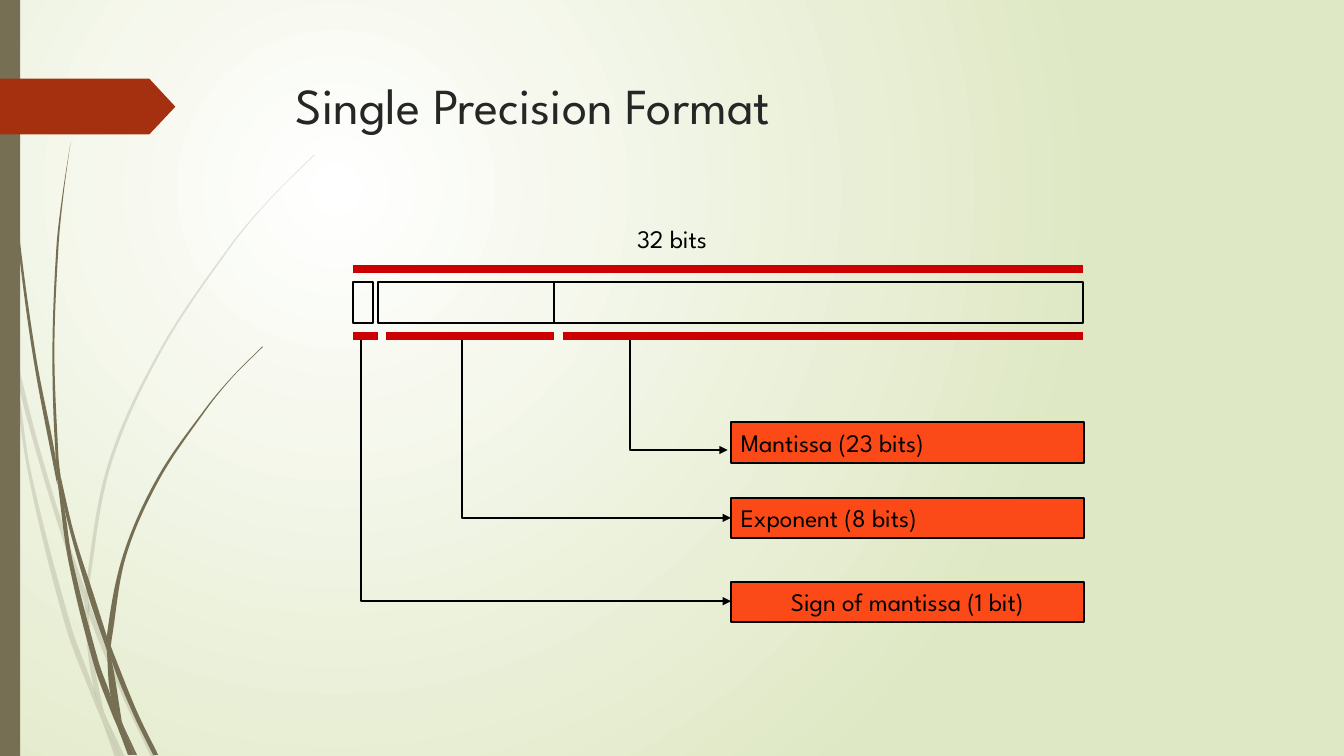
from dataclasses import dataclass
from math import dist
from typing import Optional

from lxml.etree import SubElement
from pptx import Presentation
from pptx.dml.color import RGBColor
from pptx.enum.shapes import MSO_CONNECTOR, MSO_SHAPE
from pptx.enum.text import MSO_ANCHOR, PP_ALIGN
from pptx.oxml.ns import qn
from pptx.util import Cm, Pt

FONT = "League Spartan"
COLORS = {"bg_inner": "FFFFFF", "bg_outer": "DFE8C4", "olive": "766F54",
          "rust": "A53010", "title": "262626", "ink": "000000",
          "bar": "CC0000", "label": "FB4A18"}
BLADE_UNIT = Cm(0.0254)  # grid step of the blade outlines
FIELD_TOP, FIELD_H = 7.11, 1.02
FIELD_LEFT, FIELD_RIGHT = 8.89, 27.3
BAR_ABOVE, BAR_BELOW = 6.78, 8.47
LABEL_LEFT, LABEL_W = 18.42, 8.89

Point = tuple[float, float]


@dataclass
class Blade:
    left: list[Point]
    right: list[Point]


@dataclass
class Field:
    left: float
    right: float
    bar_left: float
    bar_right: float


@dataclass
class Label:
    text: str
    top: float
    align: PP_ALIGN
    arrow_x: float
    arrow_y: float
    arrow_end: float = LABEL_LEFT


# Both edges of each blade run from its upper tip to its lower end
PALE_BLADES = [
    Blade([(0, 299), (10, 344), (11, 350)], [(0, 282), (9, 322), (11, 350)]),
    Blade([(14, 345), (17, 376), (36, 449), (58, 522), (84, 599)],
          [(14, 345), (36, 433), (62, 520), (85, 586)]),
    Blade([(88, 596), (88, 610), (123, 694), (150, 751)],
          [(88, 596), (92, 607), (127, 692), (155, 751)]),
    Blade([(105, 711), (119, 751)], [(105, 711), (124, 751)]),
    Blade([(11, 350), (28, 470), (65, 621), (92, 693), (101, 714)],
          [(11, 350), (17, 376), (31, 469), (70, 619), (93, 683), (99, 707), (101, 714)]),
    Blade([(84, 599), (87, 646), (93, 683), (96, 692), (105, 711)],
          [(84, 599), (88, 610), (91, 646), (103, 706), (105, 711)]),
    Blade([(312, 153), (268, 197), (228, 244), (158, 348), (107, 461), (85, 584), (88, 596)],
          [(312, 154), (268, 198), (229, 245), (160, 349), (110, 462), (88, 584), (88, 596)]),
    Blade([(101, 714), (114, 751)], [(101, 714), (119, 751)]),
    Blade([(85, 586), (84, 599)], [(85, 586), (88, 596), (88, 610)]),
    Blade([(93, 683), (99, 707), (101, 714), (119, 751)],
          [(93, 683), (96, 692), (105, 711), (119, 751)]),
]
DARK_BLADES = [
    Blade([(3, 0), (4, 48), (7, 110), (17, 233), (33, 355), (56, 477), (57, 481)],
          [(4, 0), (5, 48), (8, 109), (19, 232), (36, 355), (55, 453), (57, 481)]),
    Blade([(60, 472), (64, 505), (88, 592), (106, 645)],
          [(60, 472), (74, 531), (93, 590), (106, 631)]),
    Blade([(110, 641), (111, 656), (132, 708), (152, 749)],
          [(110, 641), (113, 649), (136, 706), (157, 749)]),
    Blade([(57, 477), (68, 557), (93, 659), (111, 708), (117, 722)],
          [(57, 477), (64, 505), (72, 556), (98, 657), (110, 691), (117, 722)]),
    Blade([(70, 141), (62, 193), (56, 245), (52, 349), (55, 449), (60, 472)],
          [(70, 141), (63, 193), (58, 245), (54, 349), (58, 453), (60, 472)]),
    Blade([(122, 719), (133, 749)], [(122, 719), (136, 749)]),
    Blade([(55, 449), (57, 477), (64, 505)], [(55, 449), (60, 472), (64, 505)]),
    Blade([(260, 344), (231, 373), (204, 405), (156, 474), (122, 551), (106, 631), (110, 641)],
          [(261, 344), (231, 374), (205, 406), (158, 476), (125, 552), (111, 633), (110, 641)]),
    Blade([(117, 722), (127, 749)], [(117, 722), (131, 749)]),
    Blade([(106, 645), (110, 691), (122, 719)],
          [(106, 645), (111, 656), (121, 716), (122, 719)]),
    Blade([(106, 631), (106, 645)], [(106, 631), (110, 641), (111, 656)]),
    Blade([(110, 691), (117, 722), (130, 749)],
          [(110, 691), (116, 706), (122, 719), (133, 749)]),
]
TAG = [(0, 1.98), (3.76, 1.98), (4.42, 2.69), (3.76, 3.39), (0, 3.39)]
FIELDS = [Field(FIELD_LEFT, 9.4, FIELD_LEFT, 9.53),
          Field(9.53, 13.97, 9.73, 13.97),
          Field(13.97, FIELD_RIGHT, 14.18, FIELD_RIGHT)]
LABELS = [Label("Mantissa (23 bits)", 10.64, PP_ALIGN.LEFT, 15.88, 11.34, 18.34),
          Label("Exponent (8 bits)", 12.54, PP_ALIGN.LEFT, 11.64, 13.05),
          Label("Sign of mantissa (1 bit)", 14.66, PP_ALIGN.CENTER, 9.09, 15.15)]


def rgb(name: str) -> RGBColor:
    return RGBColor.from_string(COLORS[name])


def style(sp, fill: Optional[str] = None, line: Optional[str] = None) -> None:
    sp.shadow.inherit = False
    if fill:
        sp.fill.solid()
        sp.fill.fore_color.rgb = rgb(fill)
    else:
        sp.fill.background()
    if line:
        sp.line.color.rgb = rgb(line)
        sp.line.width = Pt(1.5)
    else:
        sp.line.fill.background()


def add_box(s, left: float, top: float, width: float, height: float,
            fill: Optional[str] = None, line: Optional[str] = None):
    sp = s.shapes.add_shape(MSO_SHAPE.RECTANGLE, Cm(left), Cm(top), Cm(width), Cm(height))
    style(sp, fill, line)
    return sp


def write(sp, text: str, size: int, color: str, align: PP_ALIGN) -> None:
    tf = sp.text_frame
    tf.word_wrap = True
    tf.vertical_anchor = MSO_ANCHOR.TOP
    tf.text = text
    p = tf.paragraphs[0]
    p.alignment = align
    r = p.runs[0]
    r.font.name, r.font.size = FONT, Pt(size)
    r.font.color.rgb = rgb(color)


def add_text(s, left: float, top: float, width: float, height: float,
             text: str, size: int, color: str, align: PP_ALIGN) -> None:
    sp = s.shapes.add_textbox(Cm(left), Cm(top), Cm(width), Cm(height))
    write(sp, text, size, color, align)


def add_bar(s, left: float, right: float, y: float) -> None:
    sp = s.shapes.add_connector(MSO_CONNECTOR.STRAIGHT, Cm(left), Cm(y), Cm(right), Cm(y))
    sp.line.color.rgb = rgb("bar")
    sp.line.width = Pt(6)
    SubElement(sp._element.spPr, qn("a:effectLst"))


def add_outline(s, points: list[Point], unit: int, close: bool = True):
    scaled = [(x * unit, y * unit) for x, y in points]
    builder = s.shapes.build_freeform(*scaled[0])
    builder.add_line_segments(scaled[1:], close=close)
    return builder.convert_to_shape()


def bezier(points: list[Point]) -> list[Point]:
    """Two handles and an end point for each step of a smooth curve."""
    ends = [points[0], *points, points[-1]]
    curve = []
    for a, b, c, d in zip(ends, ends[1:], ends[2:], ends[3:]):
        k, m = dist(b, c) / 3 / dist(a, c), dist(b, c) / 3 / dist(b, d)
        curve += [(b[0] + k * (c[0] - a[0]), b[1] + k * (c[1] - a[1])),
                  (c[0] - m * (d[0] - b[0]), c[1] - m * (d[1] - b[1])), c]
    return curve


def add_blade(s, blade: Blade, alpha: int = 100) -> None:
    start, left_end, right_end = blade.left[0], blade.left[-1], blade.right[-1]
    sp = add_outline(s, [start, *bezier(blade.left), left_end, right_end, right_end,
                         *bezier(blade.right[::-1])], BLADE_UNIT)
    style(sp, "olive")
    # Turn every three line segments into one curve
    lines = list(sp._element.iter(qn("a:lnTo")))
    for group in zip(lines[::3], lines[1::3], lines[2::3]):
        curve = group[0].makeelement(qn("a:cubicBezTo"))
        group[0].addprevious(curve)
        for line in group:
            curve.append(line[0])
            line.getparent().remove(line)
    if alpha < 100:
        color = sp._element.spPr.find(qn("a:solidFill"))[0]
        SubElement(color, qn("a:alpha"), val=str(alpha * 1000))


def add_arrow(s, label: Label) -> None:
    x, y = label.arrow_x, label.arrow_y
    sp = add_outline(s, [(x, BAR_BELOW), (x, y), (label.arrow_end, y)], Cm(1), close=False)
    style(sp, line="ink")
    SubElement(sp.line._get_or_add_ln(), qn("a:tailEnd"), type="triangle")


prs = Presentation()
prs.slide_width, prs.slide_height = Cm(33.87), Cm(19.05)
s = prs.slides.add_slide(prs.slide_layouts[6])

# Background: radial gradient
fill = s.background.fill
fill.gradient()
for stop, name in zip(fill.gradient_stops, ("bg_inner", "bg_outer")):
    stop.color.rgb = rgb(name)
grad = s._element.find(".//" + qn("a:gradFill"))
grad.remove(grad.find(qn("a:lin")))
radial = SubElement(grad, qn("a:path"), path="circle")
SubElement(radial, qn("a:fillToRect"), l="50000", t="50000", r="100000", b="100000")

# Grass, side strip and tag
for blade in PALE_BLADES:
    add_blade(s, blade, 20)
for blade in DARK_BLADES:
    add_blade(s, blade)
add_box(s, 0, 0, 0.51, 19.05, "olive")
style(add_outline(s, TAG, Cm(1)), "rust")

# Title
add_text(s, 7.21, 1.74, 24.77, 3.56, "Single Precision Format", 36, "title", PP_ALIGN.LEFT)

# Word with its three fields
for f in FIELDS:
    add_box(s, f.left, FIELD_TOP, f.right - f.left, FIELD_H, line="ink")
add_bar(s, FIELD_LEFT, FIELD_RIGHT, BAR_ABOVE)
add_text(s, 13.76, 5.51, 6.35, 1.02, "32 bits", 18, "ink", PP_ALIGN.CENTER)

# Labels, their arrows, then the bars the arrows start from
for label in LABELS:
    sp = add_box(s, LABEL_LEFT, label.top, LABEL_W, FIELD_H, "label", "ink")
    write(sp, label.text, 18, "ink", label.align)
for label in LABELS:
    add_arrow(s, label)
for f in reversed(FIELDS):
    add_bar(s, f.bar_left, f.bar_right, BAR_BELOW)

prs.save("out.pptx")
